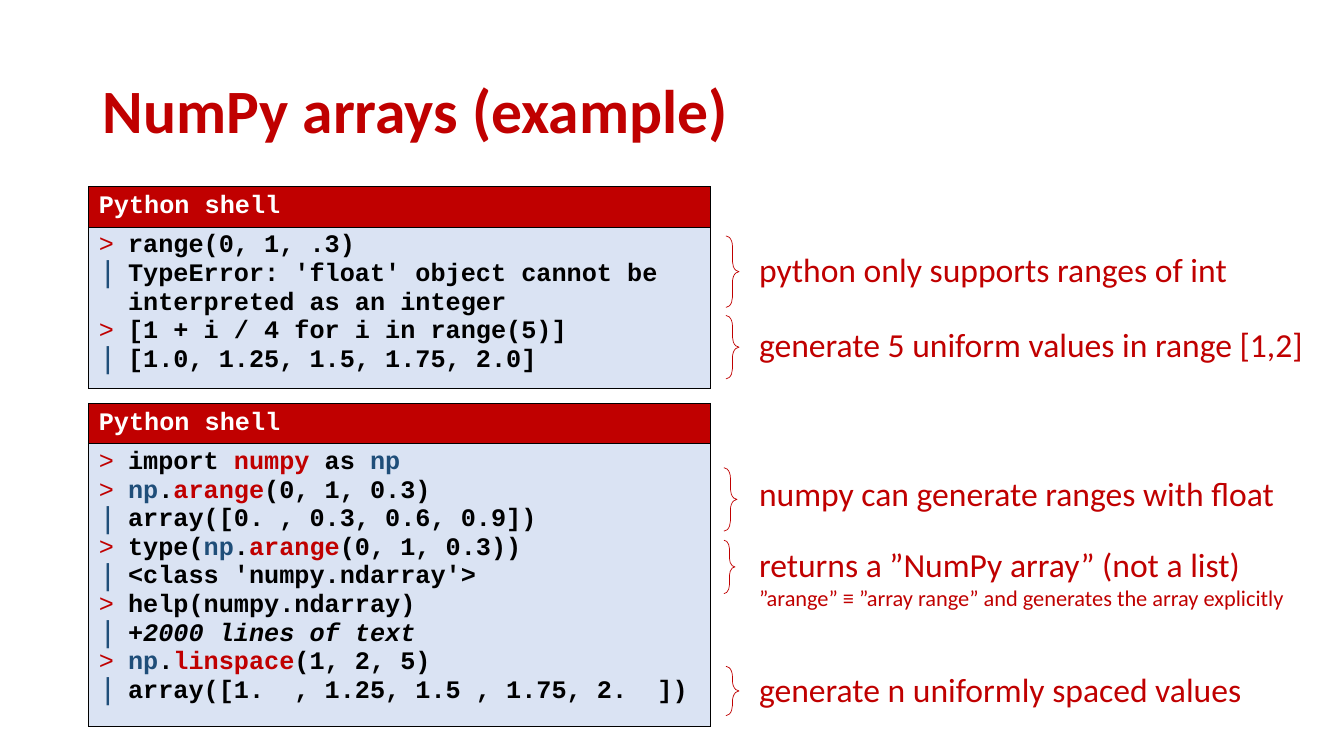
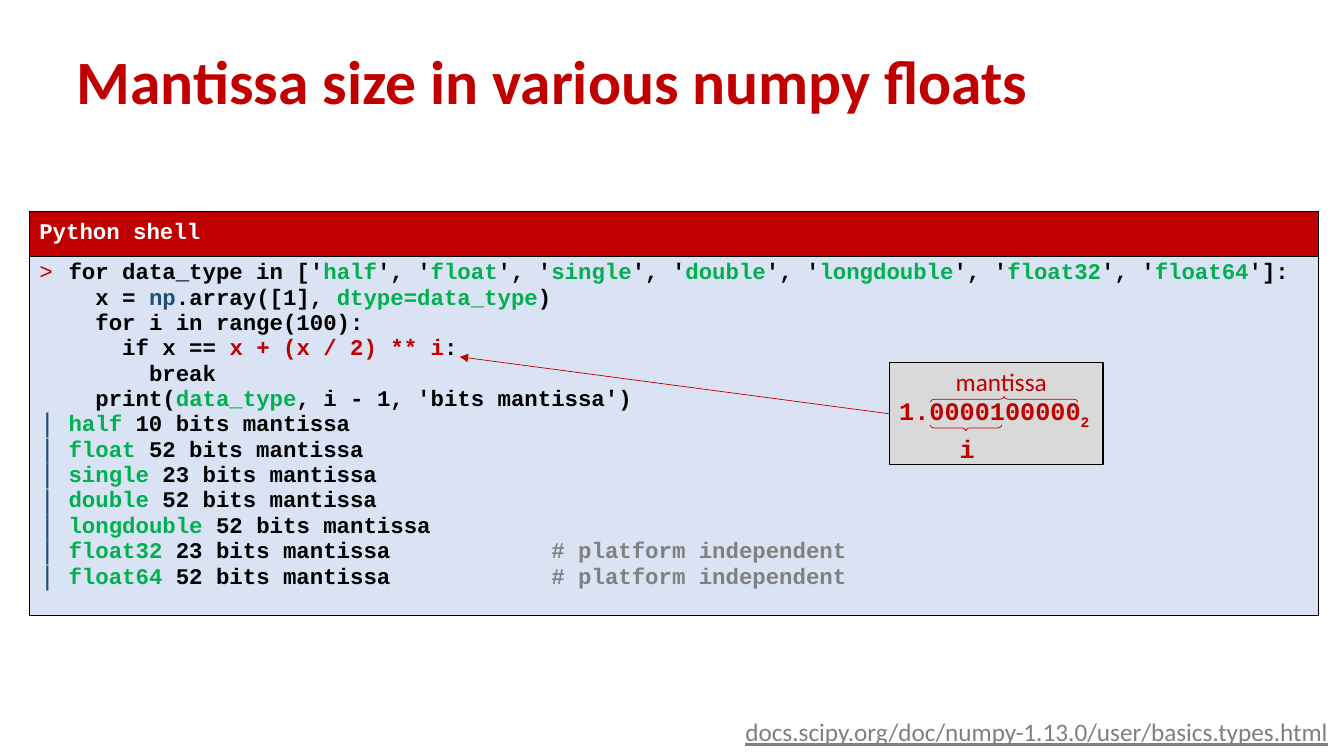
from dataclasses import dataclass
from typing import Any, Optional

import pptx
import pptx.dml.color
import pptx.enum.shapes
import pptx.enum.text
import pptx.oxml
import pptx.oxml.ns
import pptx.util
from pptx.util import Inches

COLORS = {
    "red": "C00000", "blue": "1F4E79", "green": "00B050", "comment": "808080",
    "black": "000000", "white": "FFFFFF", "code_fill": "DAE3F3",
    "note_fill": "D9D9D9", "link": "7F7F7F",
}
# Code is marked up as ~<key>text~, where the key selects one of these.
MARKS: dict[str, dict[str, Any]] = {
    "r": {"color": "red"}, "b": {"color": "blue"}, "g": {"color": "green"},
    "c": {"color": "comment"}, "i": {"italic": True},
}
TITLE = {"size": 44, "name": "Calibri", "color": "red", "bold": True}
NOTE = {"size": 24, "name": "Calibri", "color": "red"}
DETAIL = NOTE | {"size": 16}
LABEL = NOTE | {"size": 18}
CODE = {"name": "Courier New", "color": "black", "bold": True}
BITS = CODE | {"size": 18, "color": "red"}
LINK = {"size": 18, "name": "Calibri", "color": "link", "underline": True}

CODE_INDENT = 0.29
PROMPT_BULLETS = {">": ("red", 100), "|": ("blue", 120)}
BRACE = pptx.enum.shapes.MSO_SHAPE.RIGHT_BRACE
DOWN_BRACE = pptx.enum.shapes.MSO_SHAPE.LEFT_BRACE
ANCHOR = pptx.enum.text.MSO_ANCHOR


@dataclass
class Box:
    left: float
    top: float
    width: float
    height: float

    def lengths(self) -> list[int]:
        return [Inches(v) for v in (self.left, self.top, self.width, self.height)]


@dataclass
class Shell:
    """A code listing; the first character of each line is its prompt."""
    box: Box
    header_height: float
    size: int
    lines: list[str]


@dataclass
class Remark:
    """A brace beside some code lines with its explanation."""
    brace: Box
    text: Box
    wording: str
    detail: Optional[str] = None


RANGE_SHELL = Shell(Box(0.88, 1.85, 6.17, 1.93), 0.39, 18, [
    ">range(0, 1, .3)",
    "|TypeError: 'float' object cannot be interpreted as an integer",
    ">[1 + i / 4 for i in range(5)]",
    "|[1.0, 1.25, 1.5, 1.75, 2.0]",
])
NUMPY_SHELL = Shell(Box(0.88, 4, 6.17, 3.04), 0.39, 18, [
    ">import ~rnumpy~ as ~bnp~",
    ">~bnp~.~rarange~(0, 1, 0.3)",
    "|array([0. , 0.3, 0.6, 0.9])",
    ">type(~bnp~.~rarange~(0, 1, 0.3))",
    "|<class 'numpy.ndarray'>",
    ">help(numpy.ndarray)",
    "|~i+2000 lines of text~",
    ">~bnp~.~rlinspace~(1, 2, 5)",
    "|array([1.  , 1.25, 1.5 , 1.75, 2.  ])",
])
REMARKS = [
    Remark(Box(7.2, 2.34, 0.13, 0.71), Box(7.43, 2.42, 5.29, 0.5),
           "python only supports ranges of int"),
    Remark(Box(7.2, 3.13, 0.13, 0.63), Box(7.43, 3.16, 5.77, 0.5),
           "generate 5 uniform values in range [1,2]"),
    Remark(Box(7.18, 4.64, 0.13, 0.63), Box(7.43, 4.64, 5.9, 0.5),
           "numpy can generate ranges with float"),
    Remark(Box(7.18, 5.36, 0.11, 0.53), Box(7.43, 5.35, 5.9, 1.18),
           "returns a ”NumPy array” (not a list)",
           "”arange” ≡ ”array range” and generates the array explicitly"),
    Remark(Box(7.2, 6.61, 0.13, 0.49), Box(7.43, 6.59, 5.9, 0.5),
           "generate n uniformly spaced values"),
]

MANTISSA_BITS = {"half": 10, "float": 52, "single": 23, "double": 52,
                 "longdouble": 52, "float32": 23, "float64": 52}
COMMENT_COLUMN = 36


def mantissa_line(data_type: str, bits: int) -> str:
    result = f" {bits} bits mantissa"
    if data_type[-1].isdigit():
        result = result.ljust(COMMENT_COLUMN - len(data_type))
        result += "~c# platform independent~"
    return f"|~g{data_type}~{result}"


TYPE_LIST = ", ".join(f"'~g{data_type}~'" for data_type in MANTISSA_BITS)
MANTISSA_SHELL = Shell(Box(0.29, 2.1, 12.79, 3.82), 0.44, 16, [
    f">for data_type in [{TYPE_LIST}]:",
    "   x = ~bnp~.array([1], ~gdtype=data_type~)",
    "   for i in range(100):",
    "     if x == ~rx + (x / 2) ** i~:",
    "       break",
    "   print(~gdata_type~, i - 1, 'bits mantissa')",
    *(mantissa_line(name, bits) for name, bits in MANTISSA_BITS.items()),
])


def rgb(color: str) -> pptx.dml.color.RGBColor:
    return pptx.dml.color.RGBColor.from_string(COLORS[color])


def add_xml(parent: Any, markup: str) -> None:
    """Append one element, given as markup after its opening bracket."""
    tag, rest = markup.split(" ", 1)
    namespace = pptx.oxml.ns.nsdecls("a")
    parent.append(pptx.oxml.parse_xml(f"<{tag} {namespace} {rest}"))


def add_run(paragraph: Any, text: str, style: dict[str, Any]) -> Any:
    run = paragraph.add_run()
    run.text = text
    for name, value in style.items():
        if name == "color":
            run.font.color.rgb = rgb(value)
        else:
            setattr(run.font, name, pptx.util.Pt(value) if name == "size" else value)
    return run


def set_indent(paragraph: Any, left: float, first: float = 0) -> Any:
    properties = paragraph._p.get_or_add_pPr()
    properties.set("marL", str(Inches(left)))
    properties.set("indent", str(Inches(first)))
    return properties


def add_code_line(paragraph: Any, line: str, size: int) -> None:
    prompt, code = line[0], line[1:]
    if prompt in PROMPT_BULLETS:
        color, percent = PROMPT_BULLETS[prompt]
        properties = set_indent(paragraph, CODE_INDENT, -CODE_INDENT)
        add_xml(properties, f'a:buClr ><a:srgbClr val="{COLORS[color]}"/></a:buClr>')
        add_xml(properties, f'a:buSzPct val="{percent * 1000}"/>')
        add_xml(properties, 'a:buFont typeface="Courier New"/>')
        add_xml(properties, f'a:buChar char="{prompt.replace(">", "&gt;")}"/>')
    else:
        set_indent(paragraph, CODE_INDENT)
    style = CODE | {"size": size}
    for position, part in enumerate(code.split("~")):
        if position % 2:
            add_run(paragraph, part[1:], style | MARKS[part[0]])
        elif part:
            add_run(paragraph, part, style)


def format_cell(cell: Any, fill: str) -> None:
    for side in "LRTB":
        add_xml(cell._tc.get_or_add_tcPr(),
                f'a:ln{side} w="6350"><a:solidFill><a:srgbClr '
                f'val="{COLORS["black"]}"/></a:solidFill></a:ln{side}>')
    cell.fill.solid()
    cell.fill.fore_color.rgb = rgb(fill)


def add_shell(slide: Any, shell: Shell) -> None:
    table = slide.shapes.add_table(2, 1, *shell.box.lengths()).table
    table.rows[0].height = Inches(shell.header_height)
    table.rows[1].height = Inches(shell.box.height - shell.header_height)
    header, body = table.cell(0, 0), table.cell(1, 0)
    format_cell(header, "red")
    format_cell(body, "code_fill")
    header.vertical_anchor = ANCHOR.MIDDLE
    add_run(header.text_frame.paragraphs[0], "Python shell",
            CODE | {"size": shell.size, "color": "white"})
    for number, line in enumerate(shell.lines):
        frame = body.text_frame
        paragraph = frame.add_paragraph() if number else frame.paragraphs[0]
        add_code_line(paragraph, line, shell.size)


def add_text(slide: Any, box: Box, text: str, style: dict[str, Any]) -> Any:
    frame = slide.shapes.add_textbox(*box.lengths()).text_frame
    frame.word_wrap = True
    add_run(frame.paragraphs[0], text, style)
    return frame


def add_title(slide: Any, left: float, top: float, text: str) -> None:
    frame = add_text(slide, Box(left, top, 11.5, 1.45), text, TITLE)
    frame.vertical_anchor = ANCHOR.MIDDLE
    frame.paragraphs[0].line_spacing = 0.9


def add_brace(shapes: Any, box: Box, kind: Any = BRACE, bend: float = 0.785,
              rotation: float = 0) -> None:
    brace = shapes.add_shape(kind, *box.lengths())
    brace.shadow.inherit = False
    brace.fill.background()
    brace.line.color.rgb = rgb("red")
    brace.line.width = pptx.util.Pt(0.5)
    brace.adjustments[0] = bend
    brace.rotation = rotation


def add_remark(slide: Any, remark: Remark) -> None:
    add_brace(slide.shapes, remark.brace)
    frame = add_text(slide, remark.text, remark.wording, NOTE)
    if remark.detail:
        frame.paragraphs[0].add_line_break()
        add_run(frame.paragraphs[0], remark.detail, DETAIL)


def add_mantissa_note(slide: Any) -> Any:
    """Draw the binary number with its braces and return its panel."""
    group = slide.shapes.add_group_shape()
    panel = group.shapes.add_shape(pptx.enum.shapes.MSO_SHAPE.RECTANGLE,
                                   *Box(8.82, 3.6, 2.12, 1.01).lengths())
    panel.shadow.inherit = False
    panel.fill.solid()
    panel.fill.fore_color.rgb = rgb("note_fill")
    panel.line.color.rgb = rgb("black")
    panel.line.width = pptx.util.Pt(0.75)
    frame = panel.text_frame
    frame.margin_top = frame.margin_bottom = 0
    frame.vertical_anchor = ANCHOR.TOP
    label, number, exponent = (frame.paragraphs[0], frame.add_paragraph(),
                               frame.add_paragraph())
    for paragraph in (label, number, exponent):
        paragraph.alignment = pptx.enum.text.PP_ALIGN.LEFT
        paragraph.line_spacing = pptx.util.Pt(24)
    label.space_before = pptx.util.Pt(6)
    set_indent(label, 0.56)
    add_run(label, "mantissa", LABEL)
    add_run(number, "1.0000100000", BITS)
    base = add_run(number, "2", BITS)
    base._r.get_or_add_rPr().set("baseline", "-25000")
    set_indent(exponent, 0.6)
    add_run(exponent, "i", BITS)
    add_brace(group.shapes, Box(9.55, 3.89, 0.06, 0.71), DOWN_BRACE, 0.679, 270)
    add_brace(group.shapes, Box(9.93, 3.23, 0.06, 1.46), BRACE, 0.679, 270)
    return panel


def add_arrow(slide: Any, panel: Any, end: tuple[float, float]) -> None:
    arrow = slide.shapes.add_connector(
        pptx.enum.shapes.MSO_CONNECTOR.STRAIGHT,
        panel.left, panel.top + panel.height // 2, *map(Inches, end))
    arrow.begin_connect(panel, 1)
    arrow.line.color.rgb = rgb("red")
    arrow.line.width = pptx.util.Pt(0.5)
    add_xml(arrow.line._get_or_add_ln(), 'a:tailEnd type="triangle"/>')
    add_xml(arrow._element.spPr, "a:effectLst />")


def build_arrays_slide(slide: Any) -> None:
    add_title(slide, 0.92, 0.4, "NumPy arrays (example)")
    for shell in (RANGE_SHELL, NUMPY_SHELL):
        add_shell(slide, shell)
    for remark in REMARKS:
        add_remark(slide, remark)


def build_mantissa_slide(slide: Any) -> None:
    add_shell(slide, MANTISSA_SHELL)
    add_title(slide, 0.66, 0.11, "Mantissa size in various numpy floats")
    reference = add_text(slide, Box(3.9, 7.06, 9.37, 0.4),
                         "docs.scipy.org/doc/numpy-1.13.0/user/basics.types.html", LINK)
    reference.paragraphs[0].alignment = pptx.enum.text.PP_ALIGN.RIGHT
    add_arrow(slide, add_mantissa_note(slide), (4.56, 3.54))


def main() -> None:
    deck = pptx.Presentation()
    deck.slide_width, deck.slide_height = Inches(13.33), Inches(7.5)
    for build in (build_arrays_slide, build_mantissa_slide):
        build(deck.slides.add_slide(deck.slide_layouts[6]))
    deck.save("out.pptx")


if __name__ == "__main__":
    main()
